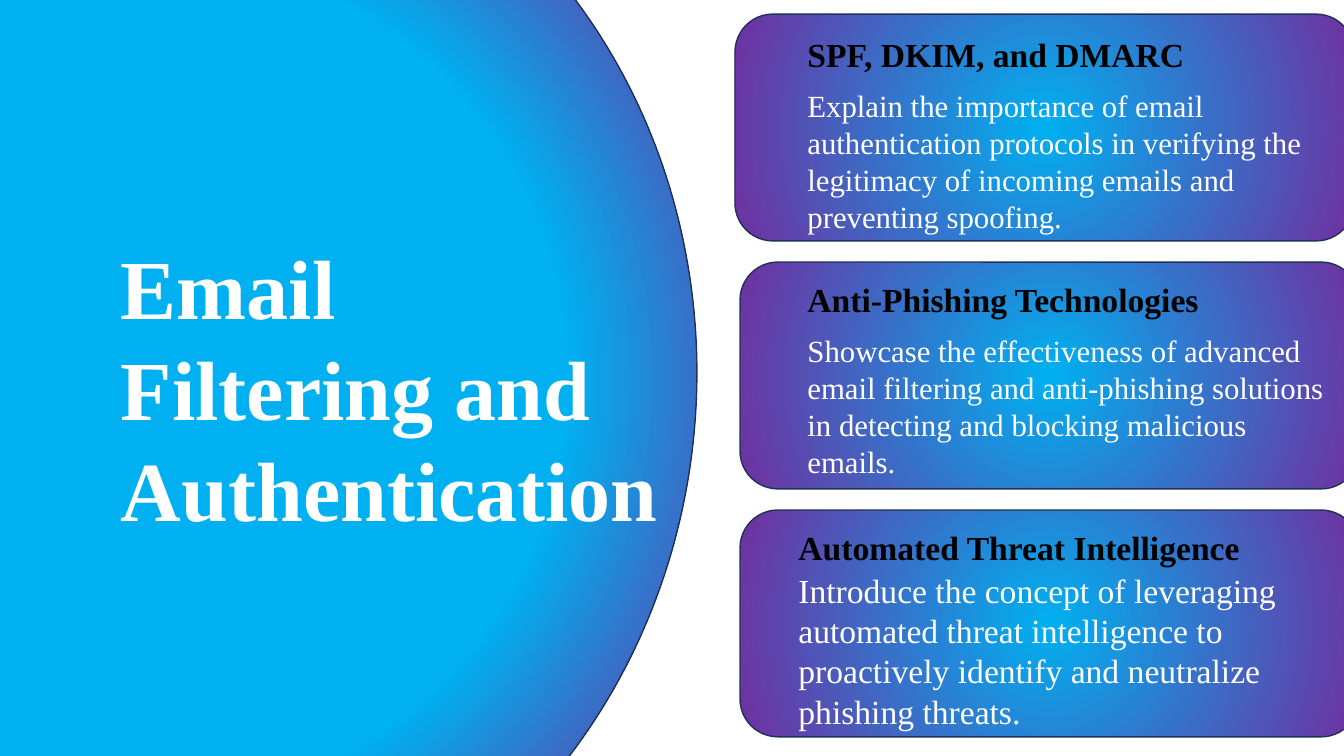
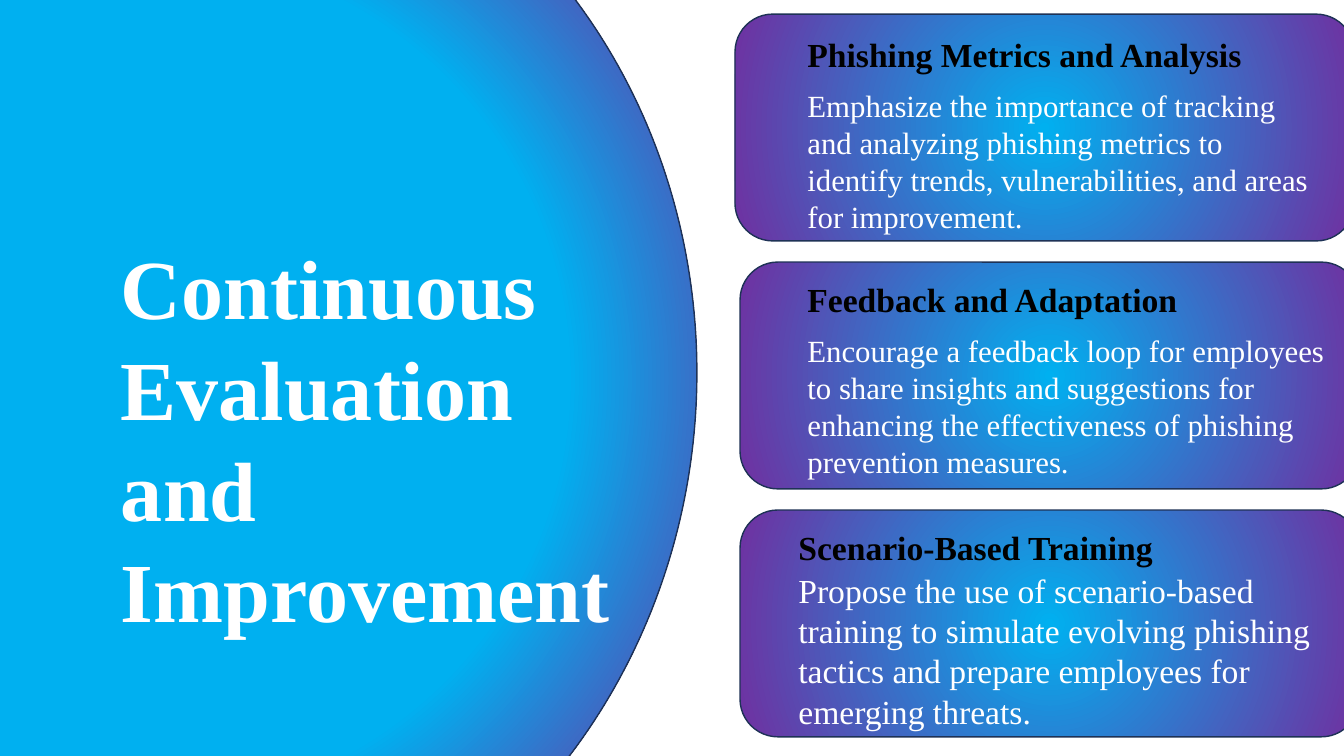
import pptx
import pptx.util
import pptx.dml.color
import pptx.enum.shapes
import pptx.enum.text
import pptx.oxml
import pptx.oxml.ns

PX = 9144  # EMU per px, 100 px to the inch
FONT = "Times New Roman"
BLUE, PURPLE, NAVY = "00B0F0", "7030A0", "1E3256"
WHITE, BLACK = "FFFFFF", "000000"
KIND = pptx.enum.shapes.MSO_SHAPE

# card left and top; text left, head top, body top, body width, body size
CARDS = [
    (729, 14, 791, 29, 81, 528, 22),
    (734, 260, 791, 272, 324, 542, 22),
    (734, 506, 782, 518, 560, 532, 24),
]

SLIDES = [
    ("Email Filtering and Authentication", [
        ("SPF, DKIM, and DMARC",
         "Explain the importance of email authentication protocols in verifying "
         "the legitimacy of incoming emails and preventing spoofing."),
        ("Anti-Phishing Technologies",
         "Showcase the effectiveness of advanced email filtering and "
         "anti-phishing solutions in detecting and blocking malicious emails."),
        ("Automated Threat Intelligence",
         "Introduce the concept of leveraging automated threat intelligence to "
         "proactively identify and neutralize phishing threats."),
    ]),
    ("Continuous Evaluation and Improvement", [
        ("Phishing Metrics and Analysis",
         "Emphasize the importance of tracking and analyzing phishing metrics "
         "to identify trends, vulnerabilities, and areas for improvement."),
        ("Feedback and Adaptation",
         "Encourage a feedback loop for employees to share insights and "
         "suggestions for enhancing the effectiveness of phishing prevention "
         "measures."),
        ("Scenario-Based Training",
         "Propose the use of scenario-based training to simulate evolving "
         "phishing tactics and prepare employees for emerging threats."),
    ]),
]


def color(code):
    return pptx.dml.color.RGBColor.from_string(code)


def write(shape, text, size=24, tint=WHITE, bold=False):
    frame = shape.text_frame
    frame.word_wrap = True
    frame.auto_size = pptx.enum.text.MSO_AUTO_SIZE.NONE
    frame.vertical_anchor = pptx.enum.text.MSO_ANCHOR.TOP
    frame.text = text
    para = frame.paragraphs[0]
    para.alignment = pptx.enum.text.PP_ALIGN.LEFT
    para.line_spacing = pptx.util.Pt(size * 1.2)
    para.space_before = pptx.util.Pt(0)
    font = para.runs[0].font
    font.name, font.size, font.bold = FONT, pptx.util.Pt(size), bold
    font.color.rgb = color(tint)


def glow(shape, start, end):
    """Fill with a round gradient, blue at the centre and purple outside."""
    shape.fill.gradient()
    marks = ((start, BLUE), (end, PURPLE))
    for stop, (place, tint) in zip(shape.fill.gradient_stops, marks):
        stop.position = place
        stop.color.rgb = color(tint)
    qn = pptx.oxml.ns.qn
    grad = shape.element.spPr.find(qn("a:gradFill"))
    ring = pptx.oxml.parse_xml(
        f'<a:path {pptx.oxml.ns.nsdecls("a")} path="circle">'
        '<a:fillToRect l="50000" t="50000" r="50000" b="50000"/></a:path>')
    grad.replace(grad.find(qn("a:lin")), ring)


class Deck:
    def __init__(self):
        self.show = pptx.Presentation()
        self.show.slide_width = 1333 * PX
        self.show.slide_height = 750 * PX
        self.slide = None

    def shape(self, kind, box, start, end):
        item = self.slide.shapes.add_shape(kind, *(n * PX for n in box))
        item.shadow.inherit = False
        glow(item, start, end)
        item.line.color.rgb = color(NAVY)
        item.line.width = pptx.util.Pt(1)
        return item

    def label(self, box, text, **style):
        item = self.slide.shapes.add_textbox(*(n * PX for n in box))
        write(item, text, **style)

    def page(self, text):
        """Start a slide with its title over the large disc."""
        self.slide = self.show.slides.add_slide(self.show.slide_layouts[5])
        title = self.slide.shapes.title
        title.left, title.top = 110 * PX, 229 * PX
        title.width, title.height = 554 * PX, 414 * PX
        write(title, text, size=60, bold=True)
        disc = self.shape(KIND.OVAL, (-410, -219, 1101, 1189), 0.49, 0.79)
        disc.rotation = 3.7
        title.element.addprevious(disc.element)

    def card(self, place, head, body):
        left, top, text, high, low, wide, size = place
        self.shape(KIND.ROUNDED_RECTANGLE, (left, top, 614, 225), 0, 1)
        self.label((text, high, 532, 50), head, tint=BLACK, bold=True)
        self.label((text, low, wide, 165), body, size=size)


def main():
    deck = Deck()
    for title, cards in SLIDES:
        deck.page(title)
        for place, (head, body) in zip(CARDS, cards):
            deck.card(place, head, body)
    deck.show.save("out.pptx")


if __name__ == "__main__":
    main()
